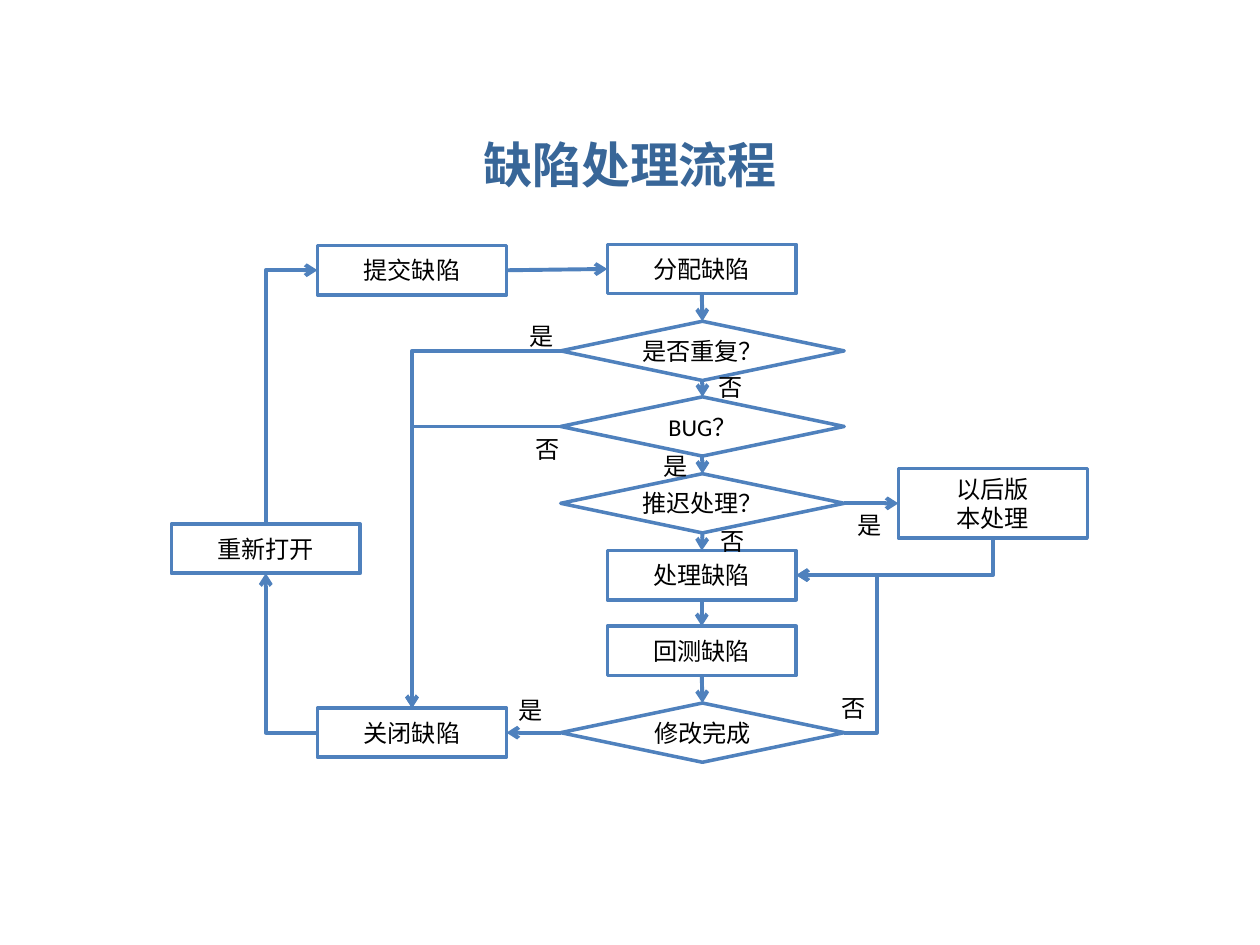
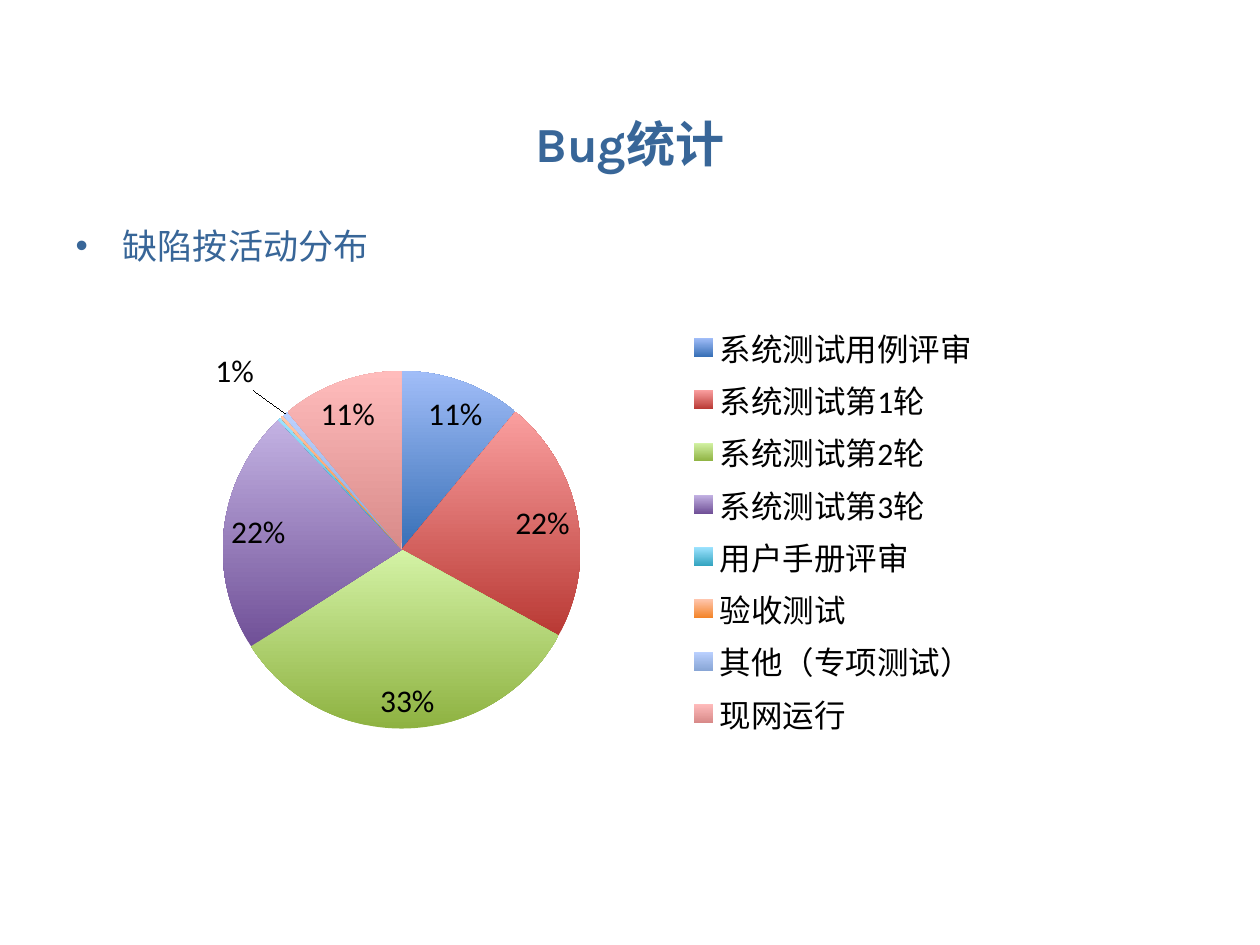
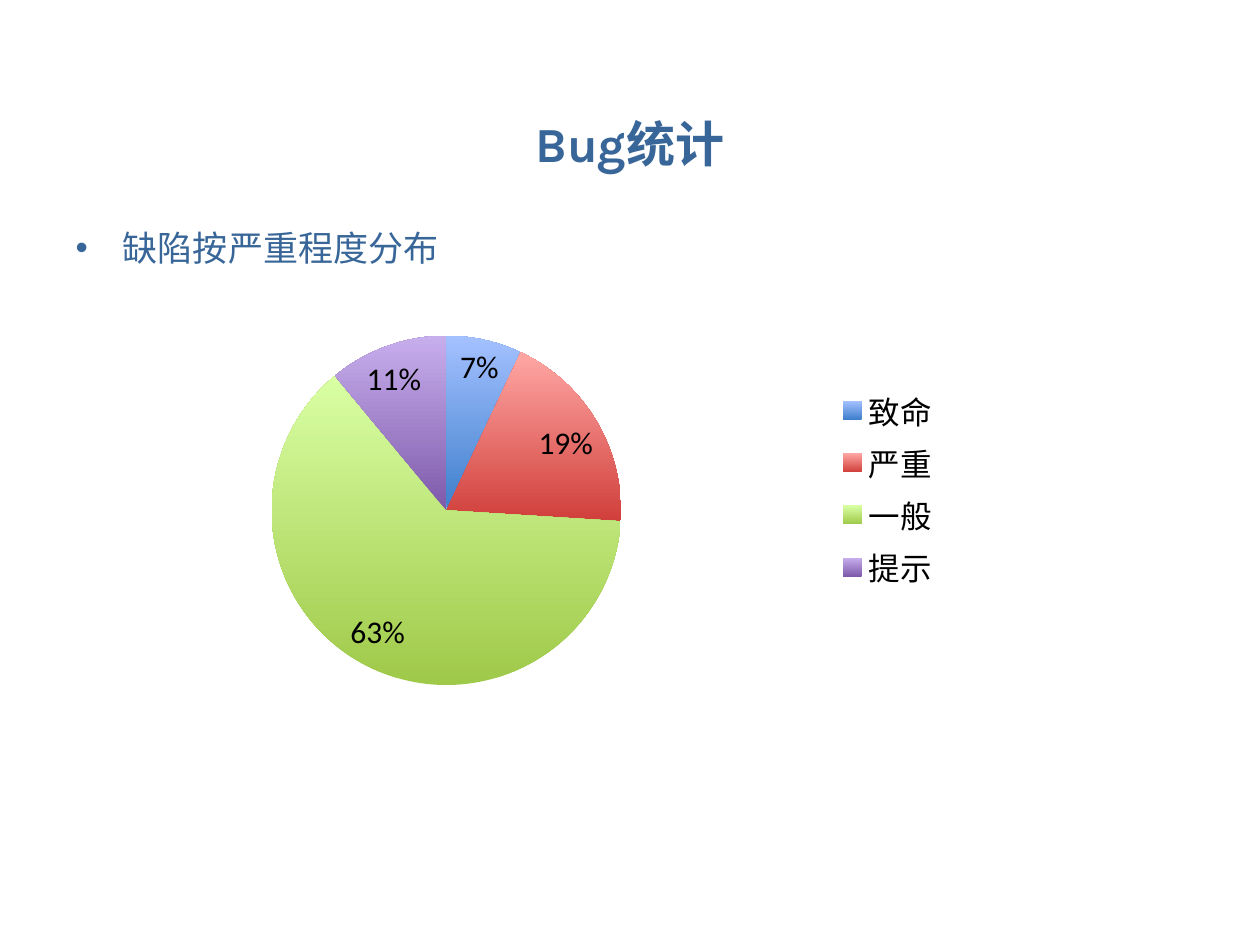
from lxml import etree
from pptx import Presentation
from pptx.chart.data import CategoryChartData
from pptx.dml.color import RGBColor
from pptx.enum import chart as charts, shapes, text
from pptx.oxml import parse_xml
from pptx.oxml.ns import nsdecls, qn
from pptx.util import Inches, Pt

TITLE_BLUE = RGBColor(0x38, 0x66, 0x98)
LINE_BLUE = RGBColor(0x4F, 0x81, 0xBD)
WHITE = RGBColor(0xFF, 0xFF, 0xFF)
BLACK = RGBColor(0, 0, 0)

TITLE_FONT = {"name": "Karla", "size": Pt(28), "bold": True}
BODY_FONT = {"name": "Noto Sans CJK SC", "size": Pt(20)}
FLOW_FONT = {"name": "Calibri", "size": Pt(13.8)}
CHART_FONT = {"name": "Calibri", "size": Pt(18)}

TITLE_ONLY, TITLE_AND_BODY = 5, 1
TOP, LEFT, BOTTOM, RIGHT = range(4)  # connection sites
RECTANGLE, DIAMOND = shapes.MSO_SHAPE.RECTANGLE, shapes.MSO_SHAPE.DIAMOND


def style_font(font, values, color):
    for name, value in values.items():
        setattr(font, name, value)
    font.color.rgb = color


def manual_layout(**values):
    """Layout element for a plot area or a data label."""
    parts = "".join(f'<c:{name} val="{value}"/>' for name, value in values.items())
    return f'<c:layout {nsdecls("c")}><c:manualLayout>{parts}</c:manualLayout></c:layout>'


class Deck:
    def __init__(self):
        self.deck = Presentation()
        self.deck.slide_width, self.deck.slide_height = Inches(10), Inches(7.5)
        self.page = None

    def add_page(self, layout, title, top, height):
        self.page = self.deck.slides.add_slide(self.deck.slide_layouts[layout])
        self.fill_placeholder(self.page.shapes.title, title, (0.5, top, 9, height), TITLE_FONT)

    def fill_placeholder(self, holder, words, place, font):
        holder.left, holder.top, holder.width, holder.height = map(Inches, place)
        self.set_text(holder.text_frame, words, font, TITLE_BLUE)

    def set_text(self, frame, words, font, color, align=None):
        frame.text = words
        for para in frame.paragraphs:
            if align is not None:
                para.alignment = align
            for span in para.runs:
                style_font(span.font, font, color)

    def add_body(self, words, top):
        self.fill_placeholder(self.page.placeholders[1], words, (0.5, top, 9, 4.95), BODY_FONT)

    def add_box(self, kind, words, left, top, width, height):
        box = self.page.shapes.add_shape(kind, *map(Inches, (left, top, width, height)))
        box.shadow.inherit = False
        box.fill.solid()
        box.fill.fore_color.rgb = WHITE
        box.line.color.rgb = LINE_BLUE
        box.line.width = Pt(2)
        frame = box.text_frame
        frame.vertical_anchor = text.MSO_ANCHOR.MIDDLE
        if kind == DIAMOND:
            for side in ("left", "right", "top", "bottom"):
                setattr(frame, f"margin_{side}", 0)
        self.set_text(frame, words, FLOW_FONT, BLACK, text.PP_ALIGN.CENTER)
        return box

    def add_label(self, words, left, top):
        box = self.page.shapes.add_textbox(*map(Inches, (left, top, 0.39, 0.33)))
        box.text_frame.word_wrap = False
        box.text_frame.auto_size = text.MSO_AUTO_SIZE.SHAPE_TO_FIT_TEXT
        self.set_text(box.text_frame, words, FLOW_FONT, BLACK)

    def connect(self, start, start_site, end, end_site, preset="line", arrow="tailEnd", bend=None):
        line = self.page.shapes.add_connector(shapes.MSO_CONNECTOR.STRAIGHT, 0, 0, 0, 0)
        line.begin_connect(start, start_site)
        line.end_connect(end, end_site)
        line.line.color.rgb = LINE_BLUE
        line.line.width = Pt(2.25)
        properties = line.element.spPr
        geometry = properties.find(qn("a:prstGeom"))
        geometry.set("prst", preset)
        if bend is not None:
            guide = etree.SubElement(geometry.find(qn("a:avLst")), qn("a:gd"))
            guide.set("name", "adj1")
            guide.set("fmla", f"val {bend}")
        etree.SubElement(properties.find(qn("a:ln")), qn(f"a:{arrow}")).set("type", "arrow")
        etree.SubElement(properties, qn("a:effectLst"))

    def add_pie(self, values, place, plot_place):
        data = CategoryChartData()
        data.categories = list(values)
        data.add_series("Series 1", list(values.values()))
        chart = self.page.shapes.add_chart(
            charts.XL_CHART_TYPE.PIE, *map(Inches, place), data).chart
        chart.chart_style = 26  # shaded theme colours
        chart.has_title = False
        style_font(chart.font, CHART_FONT, BLACK)
        chart.has_legend = True
        chart.legend.position = charts.XL_LEGEND_POSITION.RIGHT
        chart.legend.include_in_layout = False
        style_font(chart.legend.font, CHART_FONT, BLACK)

        plot = chart.plots[0]
        plot.vary_by_categories = True
        labels = plot.series[0].data_labels
        settings = {"show_percentage": True, "show_value": False, "number_format": "0%",
                    "number_format_is_linked": False,
                    "position": charts.XL_LABEL_POSITION.BEST_FIT}
        for name, value in settings.items():
            setattr(labels, name, value)
        style_font(labels.font, CHART_FONT, BLACK)

        # Fixed place of the pie
        area = chart.element.find(".//" + qn("c:plotArea"))
        for old in area.findall(qn("c:layout")):
            area.remove(old)
        left, top, width, height = plot_place
        area.insert(0, parse_xml(manual_layout(
            layoutTarget="inner", xMode="edge", yMode="edge", x=left, y=top, w=width, h=height)))
        return chart

    def set_small_labels(self, chart, hidden, moved, words, shift):
        """Hide the labels of tiny slices and pull one out of the pie."""
        labels = chart.element.find(".//" + qn("c:ser")).find(qn("c:dLbls"))
        flags = "".join(f'<c:show{name} val="{int(name == "Percent")}"/>' for name in (
            "LegendKey", "Val", "CatName", "SerName", "Percent", "BubbleSize"))
        bodies = {index: '<c:delete val="1"/>' for index in hidden}
        bodies[moved] = (
            manual_layout(x=shift[0], y=shift[1])
            + '<c:tx><c:rich><a:bodyPr/><a:p><a:r><a:rPr sz="1800"/>'
            + f'<a:t>{words}</a:t></a:r></a:p></c:rich></c:tx>'
            + '<c:dLblPos val="bestFit"/>' + flags)
        for place, index in enumerate(sorted(bodies)):
            labels.insert(place, parse_xml(
                f'<c:dLbl {nsdecls("c", "a")}><c:idx val="{index}"/>{bodies[index]}</c:dLbl>'))
        leader = labels.find(qn("c:showLeaderLines"))
        if leader is None:
            leader = etree.SubElement(labels, qn("c:showLeaderLines"))
        leader.set("val", "1")


def add_flow_page(deck):
    deck.add_page(TITLE_ONLY, "缺陷处理流程", 1, 0.6)

    # Steps and decisions
    def step(words, left, top, height=0.39):
        return deck.add_box(RECTANGLE, words, left, top, 1.5, height)

    def decision(words, top):
        return deck.add_box(DIAMOND, words, 4.45, top, 2.25, 0.47)

    submit = step("提交缺陷", 2.52, 1.95)
    assign = step("分配缺陷", 4.82, 1.94)
    retest = step("回测缺陷", 4.82, 4.97)
    reopen = step("重新打开", 1.36, 4.16)
    handle = step("处理缺陷", 4.82, 4.37)
    close = step("关闭缺陷", 2.52, 5.62)
    later = step("以后版\n本处理", 7.13, 3.72, 0.55)
    repeated = decision("是否重复？", 2.55)
    is_bug = decision("BUG？", 3.15)
    postponed = decision("推迟处理？", 3.76)
    finished = decision("修改完成", 5.58)

    # Main flow downwards
    column = [assign, repeated, is_bug, postponed, handle, retest, finished]
    for upper, lower in zip(column, column[1:]):
        deck.connect(upper, BOTTOM, lower, TOP)

    # Sideways flow
    deck.connect(submit, RIGHT, assign, LEFT)
    deck.connect(postponed, RIGHT, later, LEFT)
    deck.connect(finished, LEFT, close, RIGHT)

    # Bent lines; an arrow at the head marks a line drawn from its target
    corner = "bentConnector2"
    deck.connect(repeated, LEFT, close, TOP, corner)
    deck.connect(is_bug, LEFT, close, TOP, corner)
    deck.connect(close, LEFT, reopen, BOTTOM, corner)
    deck.connect(handle, RIGHT, later, BOTTOM, corner, "headEnd")
    deck.connect(submit, LEFT, reopen, TOP, corner, "headEnd")
    deck.connect(finished, RIGHT, handle, RIGHT, "bentConnector3", bend=-68200)

    # Answers
    answers = {"是": [(5.17, 3.53), (4.1, 2.5), (6.71, 4), (4.02, 5.47)],
               "否": [(4.15, 3.4), (5.62, 4.13), (5.6, 2.91), (6.58, 5.45)]}
    for answer, places in answers.items():
        for left, top in places:
            deck.add_label(answer, left, top)


def add_statistics_page(deck, heading, top, values, place, plot_place):
    deck.add_page(TITLE_AND_BODY, "Bug统计", 0.79, 0.69)
    deck.add_body(heading, top)
    return deck.add_pie(values, place, plot_place)


def main():
    deck = Deck()
    add_flow_page(deck)

    # Defects by activity
    activities = {"系统测试用例评审": 11, "系统测试第1轮": 22, "系统测试第2轮": 33,
                  "系统测试第3轮": 22, "用户手册评审": 0.3, "验收测试": 0.3,
                  "其他（专项测试）": 0.5, "现网运行": 11}
    chart = add_statistics_page(deck, "缺陷按活动分布", 1.73, activities,
                                (0.77, 2.5, 7.11, 3.42), (0.14, 0.13, 0.4, 0.83))
    deck.set_small_labels(chart, hidden=(4, 5), moved=6, words="1%", shift=(-0.03, -0.04))

    # Defects by severity
    severities = {"致命": 7, "严重": 19, "一般": 63, "提示": 11}
    add_statistics_page(deck, "缺陷按严重程度分布", 1.75, severities,
                        (0.45, 2.17, 7.11, 3.42), (0.24, 0.14, 0.39, 0.82))

    deck.deck.save("out.pptx")


if __name__ == "__main__":
    main()
